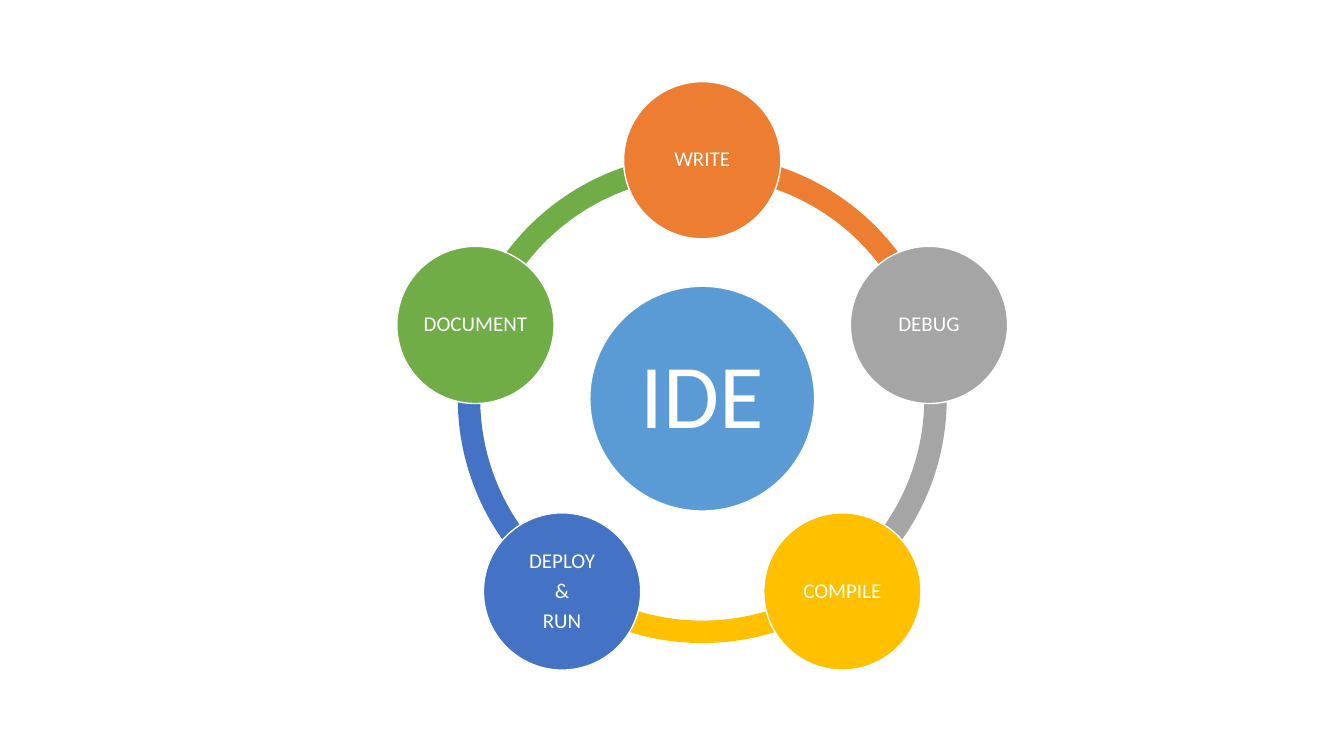
from math import cos, radians, sin

from pptx import Presentation
from pptx.dml.color import RGBColor
from pptx.enum.shapes import MSO_SHAPE as SHAPE
from pptx.enum.text import MSO_ANCHOR as ANCHOR, PP_ALIGN as ALIGN
from pptx.util import Inches, Pt

WHITE = RGBColor(0xFF, 0xFF, 0xFF)
BLUE = RGBColor(0x5B, 0x9B, 0xD5)
ORANGE = RGBColor(0xED, 0x7D, 0x31)
GRAY = RGBColor(0xA5, 0xA5, 0xA5)
GOLD = RGBColor(0xFF, 0xC0, 0x00)
NAVY = RGBColor(0x44, 0x72, 0xC4)
GREEN = RGBColor(0x70, 0xAD, 0x47)

STEPS = [
    ("WRITE", ORANGE),
    ("DEBUG", GRAY),
    ("COMPILE", GOLD),
    ("DEPLOY\n&\nRUN", NAVY),
    ("DOCUMENT", GREEN),
]
CENTER_X, CENTER_Y = 6.965, 3.955
ORBIT = 2.365
STEP_ANGLE = 360 / len(STEPS)
ADJ_PER_DEGREE = 0.6


def add_centered(slide, kind, x, y, size, color):
    """Add a square-boxed shape centred on a point."""
    s = slide.shapes.add_shape(kind, Inches(x - size / 2), Inches(y - size / 2),
                               Inches(size), Inches(size))
    s.shadow.inherit = False
    s.fill.solid()
    s.fill.fore_color.rgb = color
    return s


def add_arc(slide, start, color):
    """Add the ring segment that leads from one step to the next."""
    s = add_centered(slide, SHAPE.BLOCK_ARC, CENTER_X, CENTER_Y, 4.85, color)
    s.line.fill.background()
    end = (start + STEP_ANGLE) % 360
    s.adjustments[0] = start * ADJ_PER_DEGREE
    s.adjustments[1] = end * ADJ_PER_DEGREE
    s.adjustments[2] = 0.046


def add_circle(slide, x, y, size, color, text, font_size, inset):
    """Add a white-edged circle with centred text."""
    s = add_centered(slide, SHAPE.OVAL, x, y, size, color)
    s.line.color.rgb = WHITE
    s.line.width = Pt(1)
    tf = s.text_frame
    tf.text = text
    tf.word_wrap = True
    tf.vertical_anchor = ANCHOR.MIDDLE
    tf.margin_left = tf.margin_right = Inches(inset)
    tf.margin_top = tf.margin_bottom = Inches(inset)
    for p in tf.paragraphs:
        p.alignment = ALIGN.CENTER
        p.line_spacing = 0.9
        p.space_after = Pt(font_size * 0.35)
        p.font.size = Pt(font_size)
        for r in p.runs:
            r.font.size = Pt(font_size)
            r.font.name = "Calibri"
            r.font.color.rgb = WHITE


def main():
    """Build the development cycle slide."""
    prs = Presentation()
    prs.slide_width, prs.slide_height = Inches(13.33), Inches(7.5)
    slide = prs.slides.add_slide(prs.slide_layouts[6])
    angles = [(270 + i * STEP_ANGLE) % 360 for i in range(len(STEPS))]
    for angle, (_, color) in reversed(list(zip(angles, STEPS))):
        add_arc(slide, angle, color)
    add_circle(slide, CENTER_X, CENTER_Y, 2.23, BLUE, "IDE", 65, 0.09)
    for angle, (text, color) in zip(angles, STEPS):
        x = CENTER_X + ORBIT * cos(radians(angle))
        y = CENTER_Y + ORBIT * sin(radians(angle))
        add_circle(slide, x, y, 1.56, color, text, 15, 0.02)
    prs.save("out.pptx")


if __name__ == "__main__":
    main()
